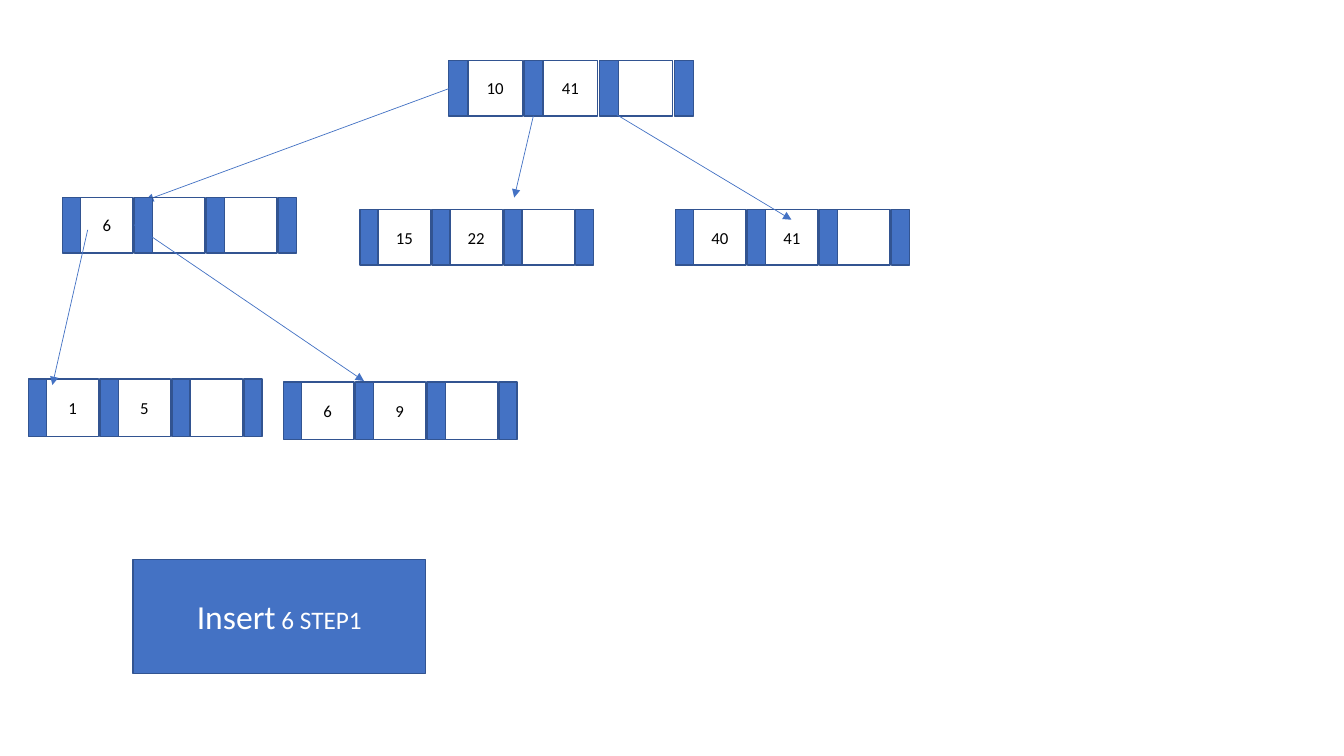
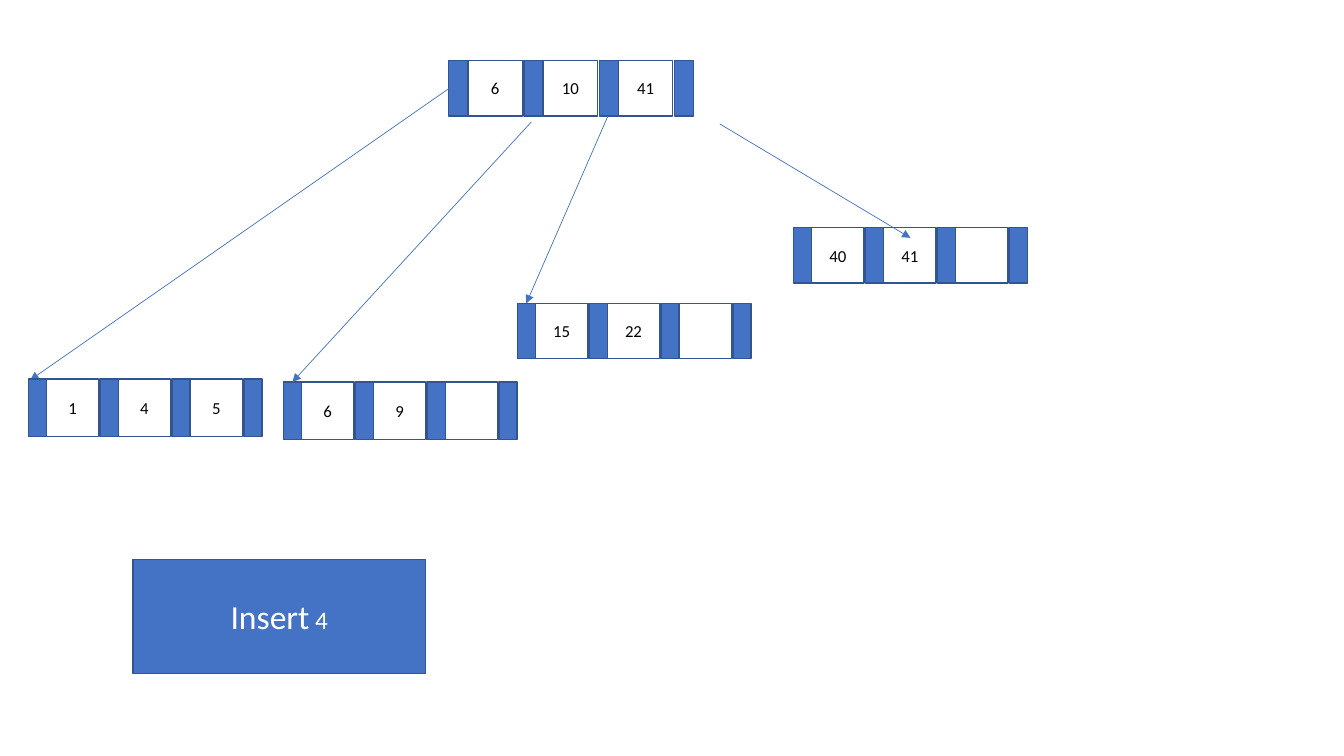
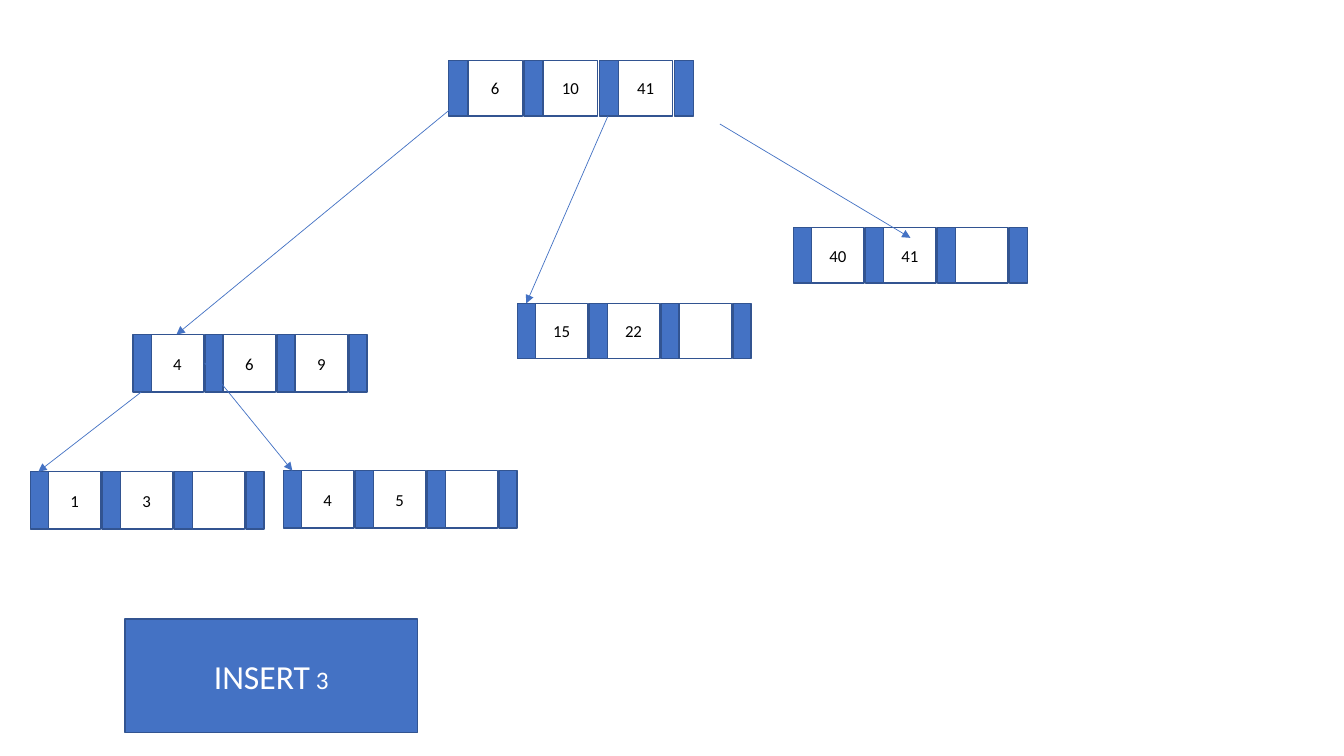
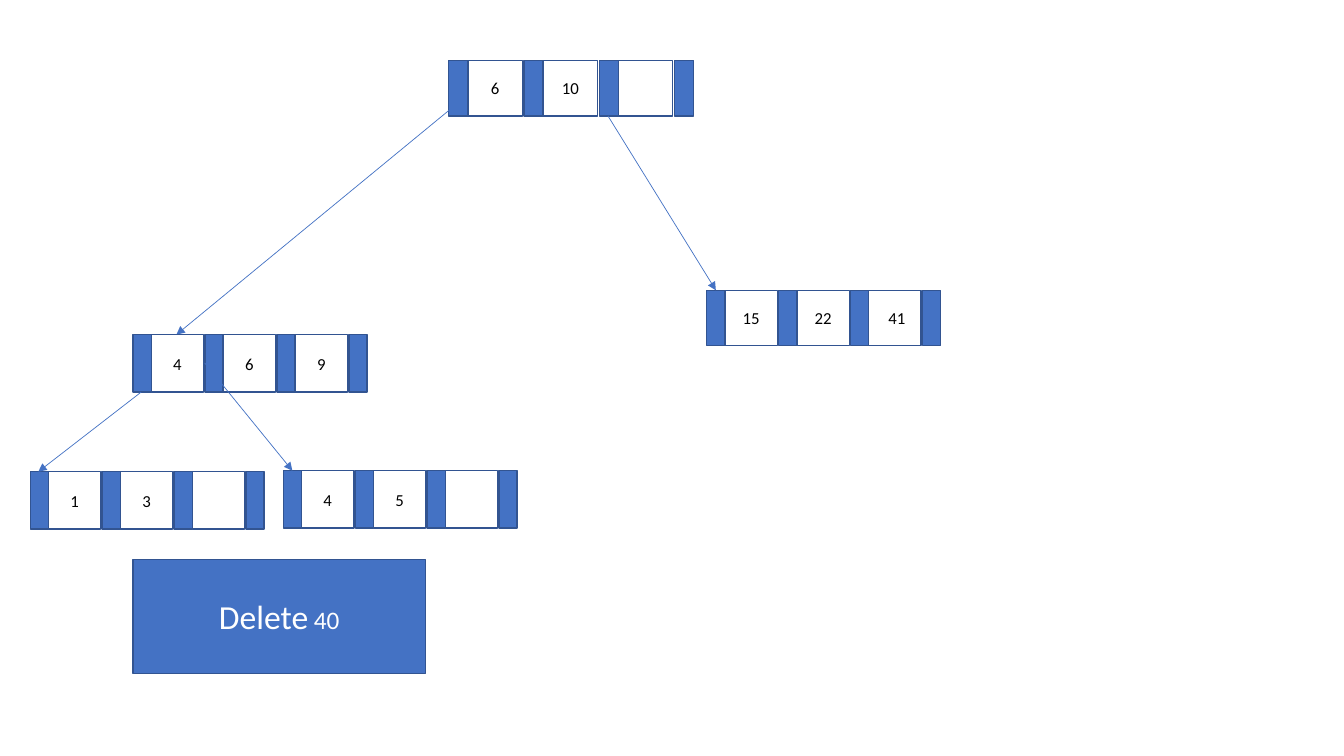
from pptx import Presentation
from pptx.dml.color import RGBColor
from pptx.enum.shapes import MSO_CONNECTOR, MSO_SHAPE
from pptx.enum.text import MSO_ANCHOR, PP_ALIGN
from pptx.oxml.ns import qn
from pptx.util import Inches, Pt
from lxml import etree

BLUE = RGBColor(0x44, 0x72, 0xC4)
DARK_BLUE = RGBColor(0x32, 0x54, 0x91)
WHITE = RGBColor(0xFF, 0xFF, 0xFF)
BLACK = RGBColor(0, 0, 0)
FONT = "Calibri"

KEYS_PER_NODE = 3
# Span from first to last pointer, pointer width, key width
ROOT_SIZES = (2.24, 0.19, 0.54)
CHILD_SIZES = (2.14, 0.18, 0.52)
UPPER_HEIGHT = 0.55
LOWER_HEIGHT = 0.57

# Places that several slides share
ROOT_AT = (4.45, 0.6)
ROOT_THIRD_POINTER = (6.03, 1.15)
CAPTION_AT = (1.32, 5.55)


# Basic elements
def add_box(shapes, left, top, width, height, fill=None):
    box = shapes.add_shape(MSO_SHAPE.RECTANGLE, Inches(left), Inches(top),
                           Inches(width), Inches(height))
    box.shadow.inherit = False
    if fill is None:
        box.fill.background()
    else:
        box.fill.solid()
        box.fill.fore_color.rgb = fill
    box.line.color.rgb = DARK_BLUE
    box.line.width = Pt(1)
    return box


def write_centred(shape, runs, color):
    frame = shape.text_frame
    frame.word_wrap = True
    frame.vertical_anchor = MSO_ANCHOR.MIDDLE
    paragraph = frame.paragraphs[0]
    paragraph.alignment = PP_ALIGN.CENTER
    for text, size in runs:
        run = paragraph.add_run()
        run.text = text
        run.font.name = FONT
        run.font.size = Pt(size)
        run.font.color.rgb = color


def add_arrow(slide, start, end):
    arrow = slide.shapes.add_connector(
        MSO_CONNECTOR.STRAIGHT, *(Inches(v) for v in (*start, *end)))
    arrow.line.color.rgb = BLUE
    arrow.line.width = Pt(0.5)
    properties = arrow._element.spPr
    etree.SubElement(properties.find(qn("a:ln")), qn("a:tailEnd"), type="triangle")
    etree.SubElement(properties, qn("a:effectLst"))


# Tree parts
def add_key(shapes, left, top, width, height, key):
    add_box(shapes, left, top, width, height)
    if key:
        label = shapes.add_textbox(Inches(left + 0.05), Inches(top + 0.11),
                                   Inches(width - 0.1), Inches(height - 0.22))
        write_centred(label, [(key, 12)], BLACK)


def add_node(slide, at, keys, height=UPPER_HEIGHT, sizes=CHILD_SIZES):
    """Draw pointers and keys in turn, ending with a pointer."""
    left, top = at
    span, pointer_width, key_width = sizes
    shapes = slide.shapes.add_group_shape().shapes
    for i in range(KEYS_PER_NODE + 1):
        x = left + i * span / KEYS_PER_NODE
        add_box(shapes, x, top, pointer_width, height, BLUE)
        if i < KEYS_PER_NODE:
            key = keys[i] if i < len(keys) else ""
            add_key(shapes, x + pointer_width, top, key_width, height, key)


def add_root(slide, keys):
    add_node(slide, ROOT_AT, keys, sizes=ROOT_SIZES)


def add_caption(slide, action, detail, at=CAPTION_AT):
    box = add_box(slide.shapes, *at, 2.9, 1.13, BLUE)
    write_centred(box, [(action, 24), (" " + detail, 18)], WHITE)


def add_right_branch(slide):
    add_node(slide, (7.87, 2.26), ["40", "41"])
    add_arrow(slide, (7.14, 1.23), (9.03, 2.36))


def add_middle_branch(slide):
    add_node(slide, (5.13, 3.01), ["15", "22"])
    add_arrow(slide, ROOT_THIRD_POINTER, (5.22, 3.01))


def add_split_branch(slide):
    """Left subtree after 3 has been inserted."""
    add_arrow(slide, (4.52, 1.04), (1.75, 3.32))
    add_node(slide, (0.3, 4.68), ["1", "3"], LOWER_HEIGHT)
    add_node(slide, (2.81, 4.67), ["4", "5"], LOWER_HEIGHT)
    add_node(slide, (1.32, 3.32), ["4", "6", "9"], LOWER_HEIGHT)
    add_arrow(slide, (1.4, 3.89), (0.38, 4.68))
    add_arrow(slide, (2.03, 3.6), (2.9, 4.67))


# Slides
def build_insert_6(slide):
    add_caption(slide, "Insert", "6 STEP1")
    add_root(slide, ["10", "41"])
    add_node(slide, (6.7, 2.08), ["40", "41"])
    add_node(slide, (3.57, 2.08), ["15", "22"])
    add_node(slide, (0.28, 3.76), ["1", "5"], LOWER_HEIGHT)
    add_arrow(slide, (4.45, 0.88), (1.44, 1.99))
    add_arrow(slide, (5.29, 1.15), (5.1, 1.96))
    add_arrow(slide, (5.97, 1.05), (7.85, 2.18))
    add_node(slide, (0.62, 1.96), ["6"])
    add_arrow(slide, (0.87, 2.28), (0.52, 3.82))
    add_node(slide, (2.81, 3.79), ["6", "9"], LOWER_HEIGHT)
    add_arrow(slide, (1.33, 2.23), (3.61, 3.78))


def build_insert_4(slide):
    add_caption(slide, "Insert", "4")
    add_root(slide, ["6", "10", "41"])
    add_right_branch(slide)
    add_arrow(slide, (4.45, 0.88), (0.3, 3.77))
    add_node(slide, (2.81, 3.79), ["6", "9"], LOWER_HEIGHT)
    add_node(slide, (0.28, 3.76), ["1", "4", "5"], LOWER_HEIGHT)
    add_arrow(slide, (5.27, 1.21), (2.9, 3.79))
    add_middle_branch(slide)


def build_insert_3(slide):
    add_caption(slide, "INSERT", "3", at=(1.24, 6.14))
    add_root(slide, ["6", "10", "41"])
    add_right_branch(slide)
    add_middle_branch(slide)
    add_split_branch(slide)


def build_delete_40(slide):
    add_caption(slide, "Delete", "40")
    add_root(slide, ["6", "10"])
    add_node(slide, (7.01, 2.88), ["15", "22", " 41"])
    add_arrow(slide, ROOT_THIRD_POINTER, (7.1, 2.88))
    add_split_branch(slide)


def main():
    deck = Presentation()
    deck.slide_width = Inches(13.33)
    deck.slide_height = Inches(7.5)
    blank = deck.slide_layouts[6]
    for build in (build_insert_6, build_insert_4, build_insert_3, build_delete_40):
        build(deck.slides.add_slide(blank))
    deck.save("out.pptx")


main()
